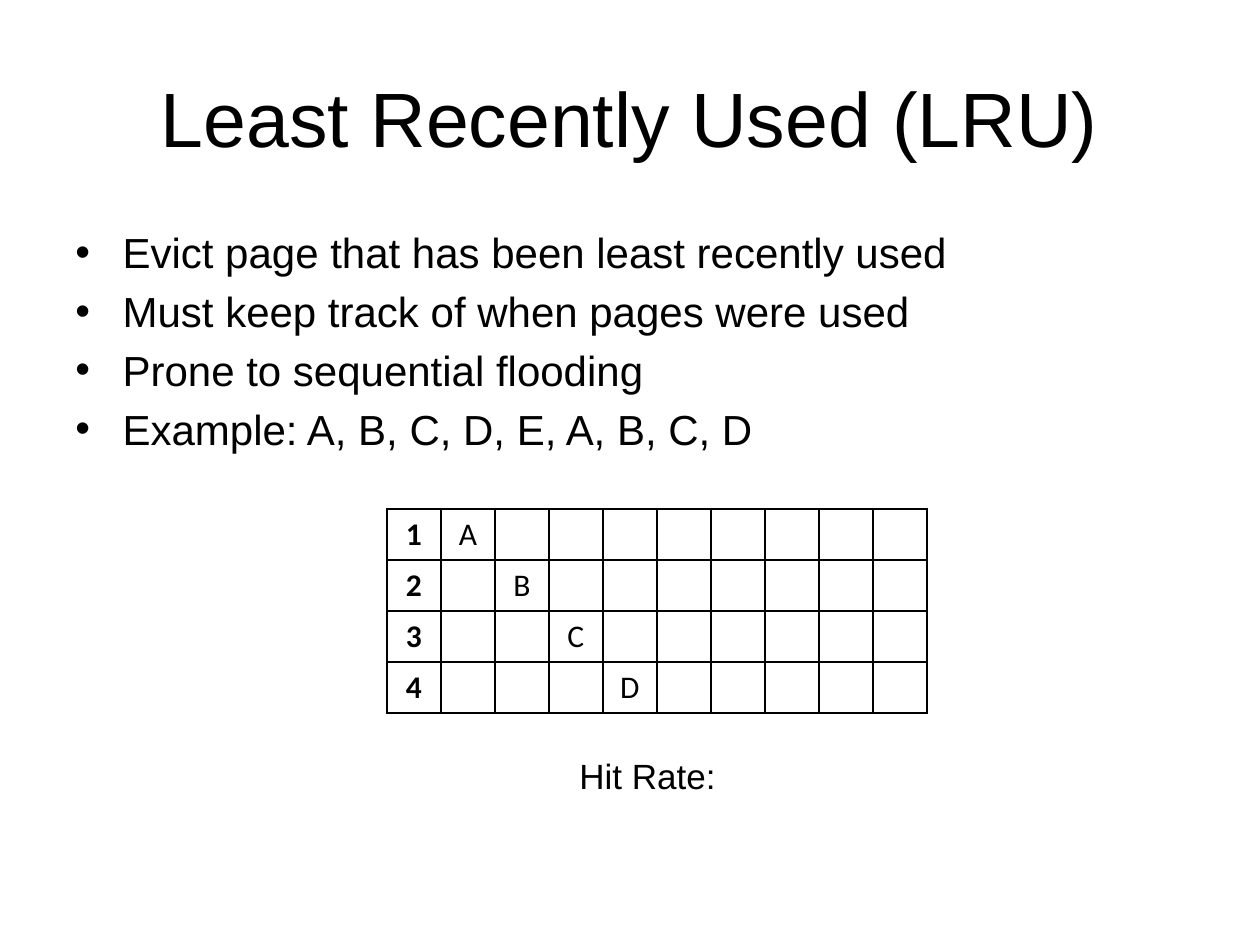
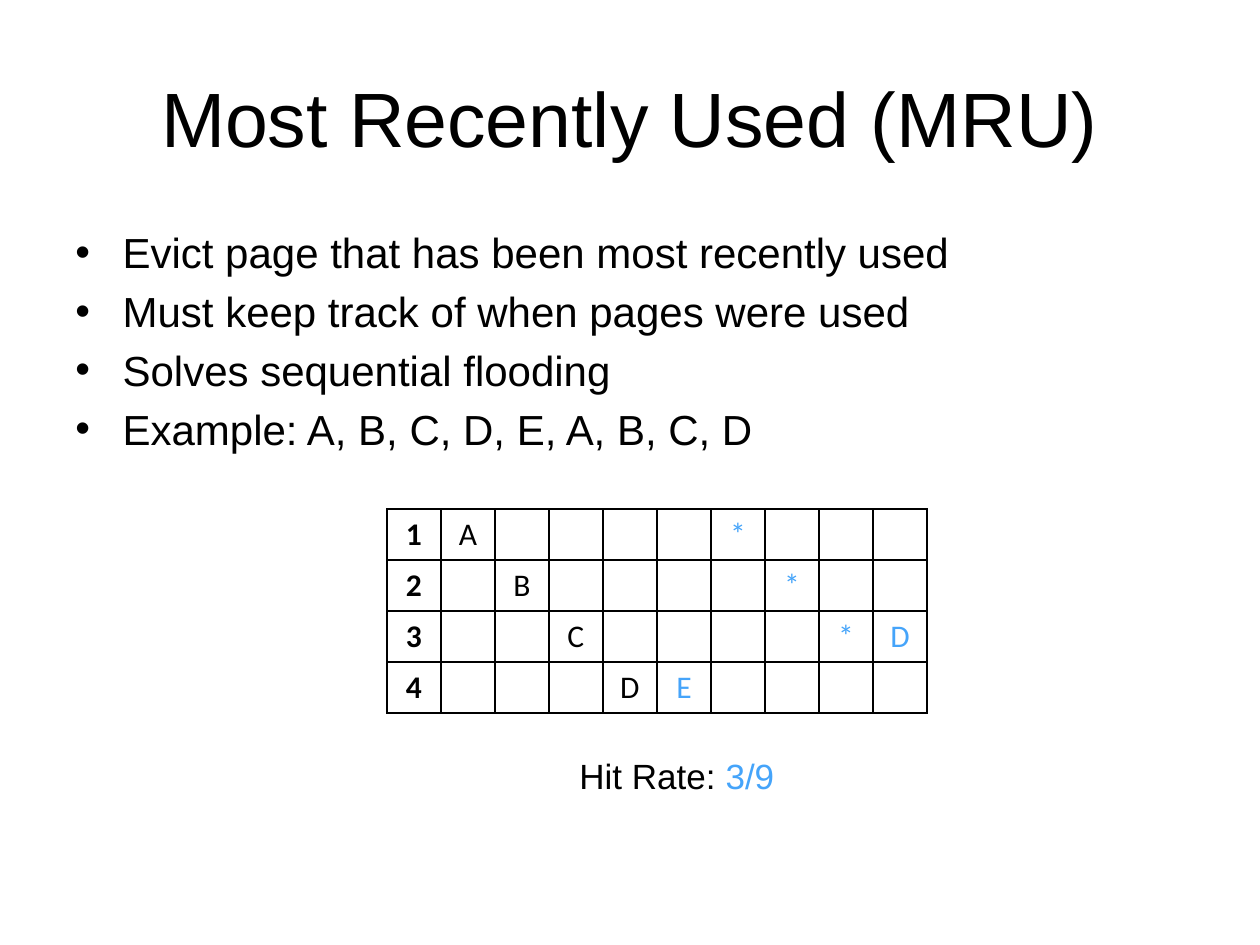
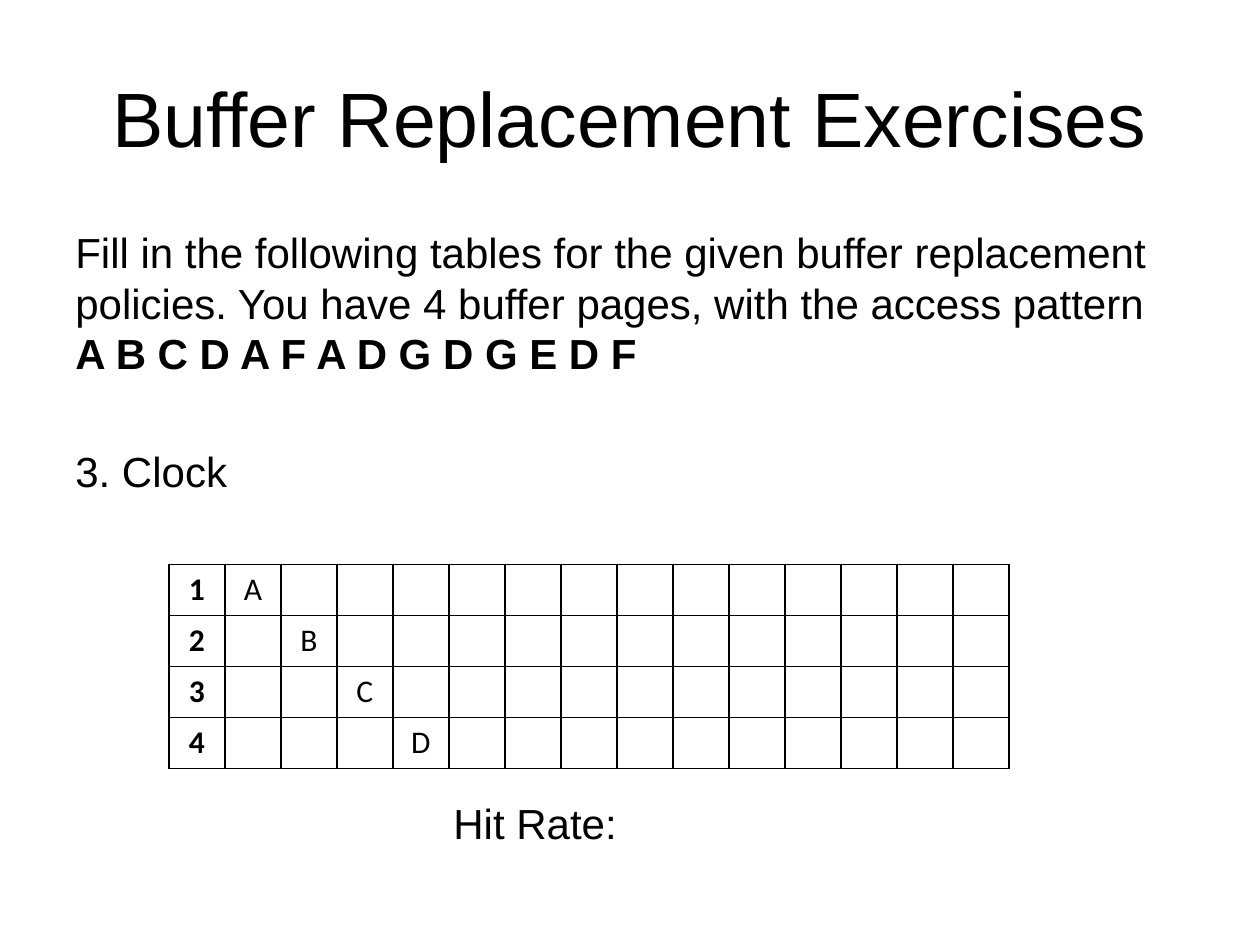
import pptx
import pptx.dml.color
import pptx.enum.text
import pptx.oxml
import pptx.oxml.ns
import pptx.util

ALIGN = pptx.enum.text.PP_ALIGN
ANCHOR = pptx.enum.text.MSO_ANCHOR
BLACK, BLUE = "000000", "45A4FA"
COLUMNS, ROWS = 100, 75  # slide grid
LINE, GAP = 1.2, 0.2  # line height and paragraph gap, as shares of text size


def colour(value):
    return pptx.dml.color.RGBColor.from_string(value)


def element(tag, **attributes):
    node = pptx.oxml.parse_xml(f"<a:{tag} {pptx.oxml.ns.nsdecls('a')}/>")
    for name, value in attributes.items():
        node.set(name, str(value))
    return node


class Sheet:
    """The shared style and the slide being filled."""

    def __init__(self):
        self.deck = pptx.Presentation()
        self.deck.slide_width = pptx.util.Inches(10)
        self.deck.slide_height = pptx.util.Inches(7.5)
        self.page = None

    def across(self, columns):
        return int(self.deck.slide_width * columns / COLUMNS)

    def down(self, rows):
        return int(self.deck.slide_height * rows / ROWS)

    def area(self, left, top, width, height):
        return self.across(left), self.down(top), self.across(width), self.down(height)

    def span(self, para, text, size, font="Arial", tint=BLACK, bold=False):
        run = para.add_run()
        run.text = text
        run.font.size = pptx.util.Pt(size)
        run.font.name = font
        run.font.bold = bold
        run.font.color.rgb = colour(tint)

    def box(self, left, top, width, height, anchor):
        frame = self.page.shapes.add_textbox(*self.area(left, top, width, height)).text_frame
        frame.word_wrap = True
        frame.vertical_anchor = anchor
        return frame

    def start(self, title):
        self.page = self.deck.slides.add_slide(self.deck.slide_layouts[6])
        para = self.box(5, 3, 90, 12.5, ANCHOR.MIDDLE).paragraphs[0]
        para.alignment = ALIGN.CENTER
        self.span(para, title, 44)

    def body(self):
        return self.box(5, 17.5, 90, 55.5, ANCHOR.TOP)

    def line(self, frame, text, size=24, skipped=0, indent=0, bullet=False):
        """Add a paragraph, lowered by a number of skipped lines."""
        first = not frame.paragraphs[0].runs
        para = frame.paragraphs[0] if first else frame.add_paragraph()
        para.line_spacing = pptx.util.Pt(size * LINE)
        before = 0 if first else GAP + skipped * (LINE + GAP)
        para.space_before = pptx.util.Pt(size * before)
        self.span(para, text, size)
        properties = para._p.get_or_add_pPr()
        hanging = self.across(3.75) if bullet else 0
        properties.set("marL", str(self.across(indent) + hanging))
        properties.set("indent", str(-hanging))
        if bullet:
            properties.append(element("buFont", typeface="Arial"))
            properties.append(element("buChar", char="•"))
        else:
            properties.append(element("buNone"))
        return para

    def border(self, cell):
        properties = cell._tc.get_or_add_tcPr()
        for place, side in enumerate(("lnL", "lnR", "lnT", "lnB")):
            edge = element(side, w=pptx.util.Pt(1))
            fill = element("solidFill")
            fill.append(element("srgbClr", val=BLACK))
            edge.append(fill)
            properties.insert(place, edge)

    def buffer_table(self, left, top, width, steps, answers):
        """Four numbered frames over time, with A to D loaded in turn."""
        entries = {(row, row + 1): letter for row, letter in enumerate("ABCD")}
        table = self.page.shapes.add_table(
            4, steps + 1, *self.area(left, top, width, 16.2)).table
        table.first_row = table.horz_banding = False
        for row in range(4):
            for column in range(steps + 1):
                cell = table.cell(row, column)
                cell.fill.background()
                self.border(cell)
                para = cell.text_frame.paragraphs[0]
                para.alignment = ALIGN.CENTER
                spot = (row, column)
                if column == 0:
                    self.span(para, str(row + 1), 18, "Calibri", bold=True)
                elif spot in entries:
                    self.span(para, entries[spot], 18, "Calibri")
                elif spot in answers:
                    self.span(para, answers[spot], 18, "Calibri", BLUE)

    def policy(self, title, points, answers, rate):
        """A replacement policy: bullets, worked table and hit rate."""
        self.start(title)
        frame = self.body()
        for point in points:
            self.line(frame, point, bullet=True)
        label = "Hit Rate: " if rate else "Hit Rate:"
        para = self.line(frame, label, size=20, skipped=6, indent=40)
        if rate:
            self.span(para, rate, 20, tint=BLUE)
        self.buffer_table(30.7, 40.4, 42.9, 9, answers)


sheet = Sheet()
tracking = "Must keep track of when pages were used"
example = "Example: A, B, C, D, E, A, B, C, D"

# Least recently used
sheet.policy(
    "Least Recently Used (LRU)",
    ["Evict page that has been least recently used", tracking,
     "Prone to sequential flooding", example],
    {}, "")

# Most recently used
sheet.policy(
    "Most Recently Used (MRU)",
    ["Evict page that has been most recently used", tracking,
     "Solves sequential flooding", example],
    {(3, 5): "E", (0, 6): "*", (1, 7): "*", (2, 8): "*", (2, 9): "D"}, "3/9")

# Clock exercise
sheet.start("Buffer Replacement Exercises")
exercise = sheet.body()
task = sheet.line(exercise, "Fill in the following tables for the given buffer replacement "
                  "policies. You have 4 buffer pages, with the access pattern")
task.add_line_break()
sheet.span(task, "A B C D A F A D G D G E D F", 24, bold=True)
sheet.line(exercise, "3. Clock", skipped=1)
sheet.line(exercise, "Hit Rate:", skipped=5, indent=30)
sheet.buffer_table(13.4, 44.8, 66.7, 14, {})

sheet.deck.save("out.pptx")
